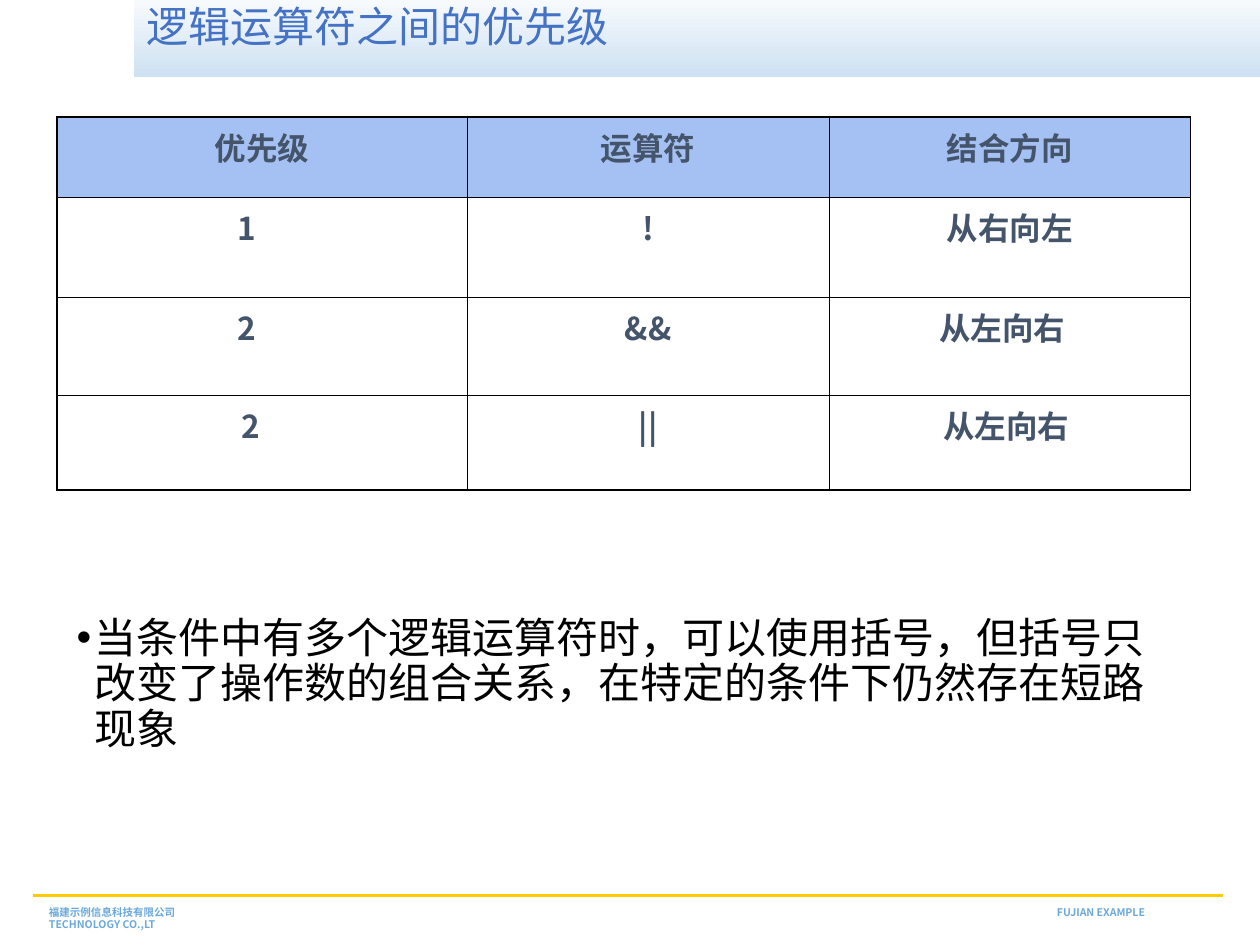
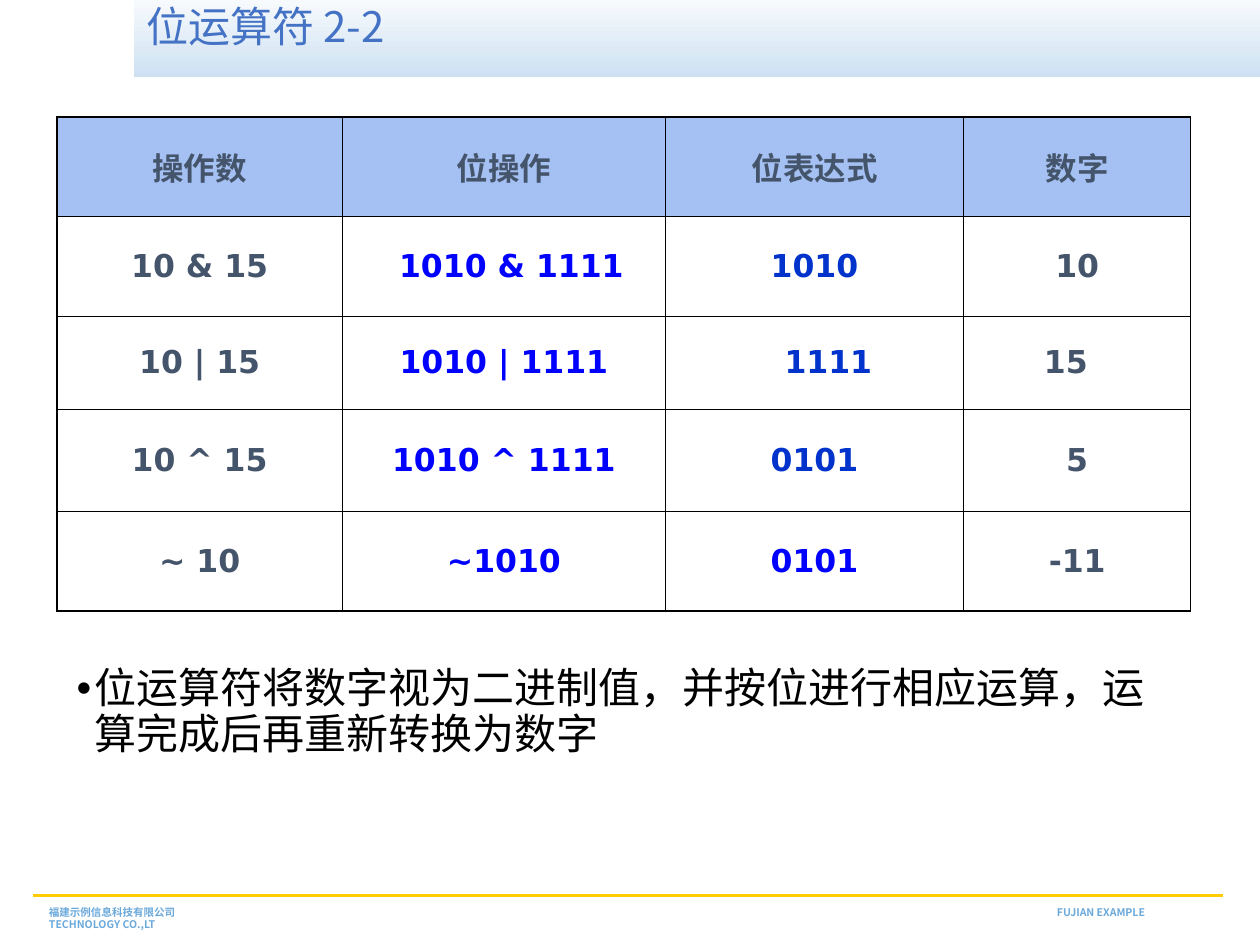
import pptx
import pptx.dml.color
import pptx.enum.shapes
import pptx.enum.text
import pptx.oxml.ns
import pptx.util
from lxml import etree

Inches = pptx.util.Inches
Pt = pptx.util.Pt
qn = pptx.oxml.ns.qn
PP_ALIGN = pptx.enum.text.PP_ALIGN
ANCHOR = pptx.enum.text.MSO_ANCHOR

# Shared look
CJK_FONT = "Noto Sans CJK SC"
CODE_FONT = "DejaVu Sans"
TITLE_BLUE = "4472C4"
HEADER_FILL = "A5C1F3"
SLATE = "44546A"
BIT_BLUE = "0000FF"
RESULT_BLUE = "0033CC"
BLACK = "000000"
OUTER_BORDER, INNER_BORDER = 1.08, 0.45


def rgb(hex_color):
    return pptx.dml.color.RGBColor.from_string(hex_color)


def write(paragraph, text, font=CJK_FONT, size=18, color=SLATE, bold=False):
    run = paragraph.add_run()
    run.text = text
    run.font.name = font
    run.font.size = Pt(size)
    run.font.bold = bold
    run.font.color.rgb = rgb(color)
    east_asian = etree.SubElement(run.font._element, qn("a:ea"))
    east_asian.set("typeface", CJK_FONT)


# Content; nudges widen the left (+) or right (-) margin of a centred cell
lessons = [
    {
        "title": [("逻辑运算符之间的优先级", "Cabin")],
        "columns": [3.26, 2.87, 2.87],
        "heights": [0.64, 0.79, 0.78, 0.75],
        "rows": [
            ["优先级", "运算符", "结合方向"],
            ["1", "!", "从右向左"],
            ["2", "&&", "从左向右"],
            ["2", "||", "从左向右"],
        ],
        "nudges": {(1, 0): -0.24, (2, 0): -0.24, (3, 0): -0.18,
                   (2, 2): -0.12, (3, 2): -0.06},
        "colors": {},
        "font": CJK_FONT,
        "anchor": ANCHOR.TOP,
        "side_margin": 0.11,
        "note": "当条件中有多个逻辑运算符时，可以使用括号，但括号只改变了操作数的组合关系，"
                "在特定的条件下仍然存在短路现象",
        "note_top": 4.85,
        "note_height": 2.01,
    },
    {
        "title": [("位运算符 ", "Cabin"), ("2-2", CJK_FONT)],
        "columns": [2.27, 2.56, 2.37, 1.8],
        "heights": [0.79, 0.79, 0.74, 0.81, 0.79],
        "rows": [
            ["操作数", "位操作", "位表达式", "数字"],
            ["10 & 15", "1010 & 1111", "1010", "10"],
            ["10 | 15", "1010 | 1111", "1111", "15"],
            ["10 ^ 15", "1010 ^ 1111", "0101", "5"],
            ["~ 10", "~1010", "0101", "-11"],
        ],
        "nudges": {(1, 1): 0.12, (2, 2): 0.22, (2, 3): -0.18},
        "colors": {(1, 1): BIT_BLUE, (2, 1): BIT_BLUE, (3, 1): BIT_BLUE,
                   (4, 1): BIT_BLUE, (4, 2): BIT_BLUE, (1, 2): RESULT_BLUE,
                   (2, 2): RESULT_BLUE, (3, 2): RESULT_BLUE},
        "font": CODE_FONT,
        "anchor": ANCHOR.MIDDLE,
        "side_margin": 0.1,
        "note": "位运算符将数字视为二进制值，并按位进行相应运算，运算完成后再重新转换为数字",
        "note_top": 5.25,
        "note_height": 1.64,
    },
]

deck = pptx.Presentation()
deck.slide_width = Inches(10)
deck.slide_height = Inches(7.5)

for lesson in lessons:
    slide = deck.slides.add_slide(deck.slide_layouts[5])

    # Footer rule
    rule = slide.shapes.add_connector(
        pptx.enum.shapes.MSO_CONNECTOR.STRAIGHT,
        Inches(0.26), Inches(7.11), Inches(9.71), Inches(7.11))
    rule.line.color.rgb = rgb("FFCC00")
    rule.line.width = Pt(1.75)
    etree.SubElement(rule._element.spPr, qn("a:effectLst"))

    # Footer text, with the English name at a tab stop
    footer = slide.shapes.add_textbox(
        Inches(0.29), Inches(7.14), Inches(9.41), Inches(0.3)).text_frame
    footer.word_wrap = True
    company = footer.paragraphs[0]
    tabs = etree.SubElement(company._p.get_or_add_pPr(), qn("a:tabLst"))
    etree.SubElement(tabs, qn("a:tab"), pos=str(Inches(8)), algn="l")
    write(company, "福建示例信息科技有限公司\tFUJIAN EXAMPLE TECHNOLOGY CO.,LT",
          size=6, color="6BA9DB", bold=True)

    # Title band
    title = slide.shapes.title
    title.left, title.top = Inches(1.06), Inches(0)
    title.width, title.height = Inches(8.94), Inches(0.61)
    title.fill.gradient()
    title.fill.gradient_angle = 270
    for stop, position, shade in zip(title.fill.gradient_stops, (0, 1),
                                     ("F7FAFD", "CEE1F2")):
        stop.position = position
        stop.color.rgb = rgb(shade)
    title.text_frame.auto_size = pptx.enum.text.MSO_AUTO_SIZE.NONE
    title.text_frame.vertical_anchor = ANCHOR.TOP
    heading = title.text_frame.paragraphs[0]
    heading.alignment = PP_ALIGN.LEFT
    heading.line_spacing = 0.9
    for words, font in lesson["title"]:
        write(heading, words, font=font, size=24, color=TITLE_BLUE)

    # Operator table
    rows, columns, heights = lesson["rows"], lesson["columns"], lesson["heights"]
    operators = slide.shapes.add_table(
        len(rows), len(columns), Inches(0.45), Inches(0.93),
        Inches(sum(columns)), Inches(sum(heights))).table
    operators.first_row = False
    operators.horz_banding = False
    for column, width in zip(operators.columns, columns):
        column.width = Inches(width)
    for row, height in zip(operators.rows, heights):
        row.height = Inches(height)

    for r, row in enumerate(rows):
        for c, words in enumerate(row):
            cell = operators.cell(r, c)
            nudge = lesson["nudges"].get((r, c), 0)
            cell.margin_left = Inches(lesson["side_margin"] + max(nudge, 0))
            cell.margin_right = Inches(lesson["side_margin"] + max(-nudge, 0))
            cell.vertical_anchor = lesson["anchor"]

            # Heavier lines around the outside; borders precede the fill
            on_edge = {"L": c == 0, "R": c == len(columns) - 1,
                       "T": r == 0, "B": r == len(rows) - 1}
            for side, outer in on_edge.items():
                border = etree.SubElement(
                    cell._tc.get_or_add_tcPr(), qn("a:ln" + side),
                    w=str(Pt(OUTER_BORDER if outer else INNER_BORDER)))
                ink = etree.SubElement(border, qn("a:solidFill"))
                etree.SubElement(ink, qn("a:srgbClr"), val=BLACK)
            if r == 0:
                cell.fill.solid()
                cell.fill.fore_color.rgb = rgb(HEADER_FILL)
            else:
                cell.fill.background()

            entry = cell.text_frame.paragraphs[0]
            entry.alignment = PP_ALIGN.CENTER
            write(entry, words, font=lesson["font"], bold=True,
                  color=lesson["colors"].get((r, c), SLATE))

    # Bulleted note
    note = slide.shapes.add_textbox(
        Inches(0.51), Inches(lesson["note_top"]),
        Inches(9), Inches(lesson["note_height"])).text_frame
    note.word_wrap = True
    remark = note.paragraphs[0]
    properties = remark._p.get_or_add_pPr()
    properties.set("marL", str(Inches(0.14)))
    properties.set("indent", str(Inches(-0.14)))
    bullet_color = etree.SubElement(properties, qn("a:buClr"))
    etree.SubElement(bullet_color, qn("a:srgbClr"), val=BLACK)
    etree.SubElement(properties, qn("a:buFont"), typeface="Arial")
    etree.SubElement(properties, qn("a:buChar"), char="•")
    remark.line_spacing = 0.9
    write(remark, lesson["note"], font="Calibri", size=24, color=BLACK)

deck.save("out.pptx")
